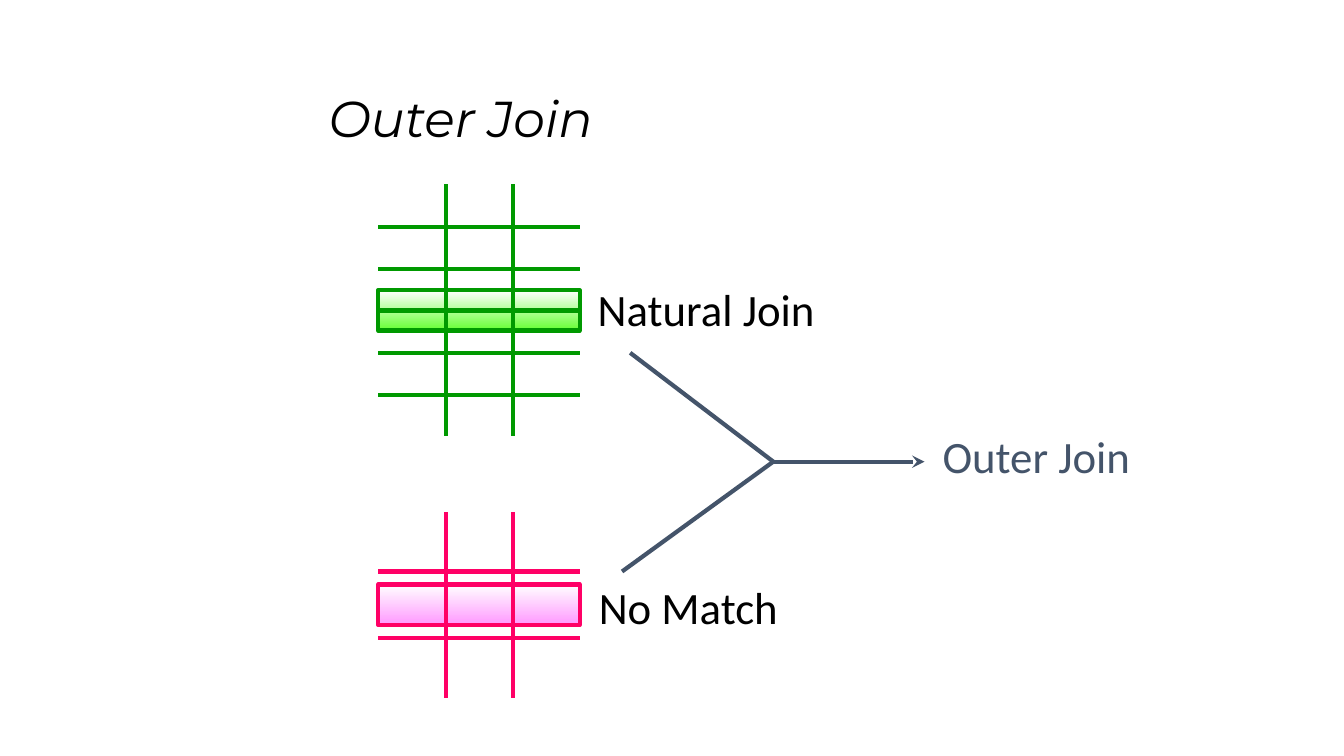
from dataclasses import dataclass

from lxml.etree import SubElement
from pptx import Presentation
from pptx.dml.color import RGBColor
from pptx.enum.shapes import MSO_CONNECTOR as Connector, MSO_SHAPE as Shape
from pptx.enum.text import MSO_ANCHOR as Anchor, MSO_AUTO_SIZE as AutoSize, PP_ALIGN as Align
from pptx.oxml.ns import qn
from pptx.shapes.connector import Connector as Line
from pptx.shapes.shapetree import GroupShapes
from pptx.slide import Slide
from pptx.util import Inches, Pt


@dataclass(frozen=True)
class Theme:
    black: str = "000000"
    white: str = "FFFFFF"
    slate: str = "44546A"
    green: str = "009900"
    lime: str = "66FF33"
    rose: str = "FF0066"
    pink: str = "FF99FF"
    title_font: str = "Montserrat"
    label_font: str = "Calibri"
    title_size: int = 36
    label_size: int = 32
    line_width: int = 3


@dataclass(frozen=True)
class Label:
    text: str
    left: float
    top: float
    width: float
    color: str
    height: float = 0.63


@dataclass(frozen=True)
class Grid:
    color: str
    shade: str
    highlight_top: float
    rows: list[float]
    top: float
    bottom: float
    label: Label


THEME = Theme()
GRID_LEFT, GRID_WIDTH, COLUMN_WIDTH = 3.75, 2, 0.67
GRID_RIGHT = GRID_LEFT + GRID_WIDTH
COLUMNS = [GRID_LEFT + COLUMN_WIDTH * step for step in (1, 2)]
HIGHLIGHT_HEIGHT = 0.4
ROW_GAP = 5 / 12
MERGE_X, MERGE_Y = 7.67, 4.58
MERGE_STARTS = [(6.25, 3.5), (6.17, 5.67)]
ARROW_END = 9.17

GRIDS = [
    Grid(THEME.green, THEME.lime, 2.88, [2.25 + ROW_GAP * row for row in range(5)], 1.83, 4.33,
         Label("Natural Join", 5.83, 2.75, 2.42, THEME.black)),
    Grid(THEME.rose, THEME.pink, 5.8, [5.67, 6.33], 5.08, 6.92,
         Label("No Match", 5.84, 5.7, 1.99, THEME.black)),
]
RESULT = Label("Outer Join", 9.25, 4.2, 2.07, THEME.slate)


def draw_line(shapes: GroupShapes, x1: float, y1: float, x2: float, y2: float, color: str) -> Line:
    line = shapes.add_connector(
        Connector.STRAIGHT, Inches(x1), Inches(y1), Inches(x2), Inches(y2))
    line.line.color.rgb = RGBColor.from_string(color)
    line.line.width = Pt(THEME.line_width)
    SubElement(line._element.spPr, qn("a:effectLst"))
    return line


def draw_label(shapes: GroupShapes, label: Label) -> None:
    box = shapes.add_textbox(
        Inches(label.left), Inches(label.top), Inches(label.width), Inches(label.height))
    box.text_frame.word_wrap = True
    para = box.text_frame.paragraphs[0]
    para.text = label.text
    para.font.name = THEME.label_font
    para.font.size = Pt(THEME.label_size)
    para.font.color.rgb = RGBColor.from_string(label.color)


def draw_grid(slide: Slide, grid: Grid) -> None:
    shapes = slide.shapes.add_group_shape().shapes
    highlight = shapes.add_shape(
        Shape.RECTANGLE, Inches(GRID_LEFT), Inches(grid.highlight_top),
        Inches(GRID_WIDTH), Inches(HIGHLIGHT_HEIGHT))
    highlight.shadow.inherit = False
    highlight.line.color.rgb = RGBColor.from_string(grid.color)
    highlight.line.width = Pt(THEME.line_width)
    highlight.fill.gradient()
    highlight.fill.gradient_angle = 270
    for stop, position, color in zip(
            highlight.fill.gradient_stops, (0, 1), (THEME.white, grid.shade)):
        stop.position = position
        stop.color.rgb = RGBColor.from_string(color)

    middle = grid.highlight_top + HIGHLIGHT_HEIGHT / 2
    for row in grid.rows:
        line = draw_line(shapes, GRID_LEFT, row, GRID_RIGHT, row, grid.color)
        if abs(row - middle) < 0.01:
            line.begin_connect(highlight, 1)
            line.end_connect(highlight, 3)
    for column in COLUMNS:
        draw_line(shapes, column, grid.top, column, grid.bottom, grid.color)
    draw_label(shapes, grid.label)


def draw_merge(slide: Slide) -> None:
    shapes = slide.shapes.add_group_shape().shapes
    for x, y in MERGE_STARTS:
        draw_line(shapes, x, y, MERGE_X, MERGE_Y, THEME.slate)
    arrow = draw_line(shapes, MERGE_X, MERGE_Y, ARROW_END, MERGE_Y, THEME.slate)
    SubElement(arrow.line._get_or_add_ln(), qn("a:tailEnd"), type="stealth")
    draw_label(shapes, RESULT)


def set_title(slide: Slide, text: str) -> None:
    title = slide.shapes.title
    title.left, title.top = Inches(3.16), Inches(0.27)
    title.width, title.height = Inches(8.5), Inches(1.25)
    frame = title.text_frame
    frame.text = text
    frame.vertical_anchor = Anchor.BOTTOM
    frame.auto_size = AutoSize.NONE
    para = frame.paragraphs[0]
    para.alignment = Align.LEFT
    para.line_spacing = 0.9
    para.font.name = THEME.title_font
    para.font.size = Pt(THEME.title_size)
    para.font.italic = True
    para.font.color.rgb = RGBColor.from_string(THEME.black)


def main() -> None:
    deck = Presentation()
    deck.slide_width, deck.slide_height = Inches(13.33), Inches(7.5)
    page = deck.slides.add_slide(deck.slide_layouts[5])
    set_title(page, "Outer Join")
    for grid in GRIDS:
        draw_grid(page, grid)
    draw_merge(page)
    deck.save("out.pptx")


if __name__ == "__main__":
    main()
